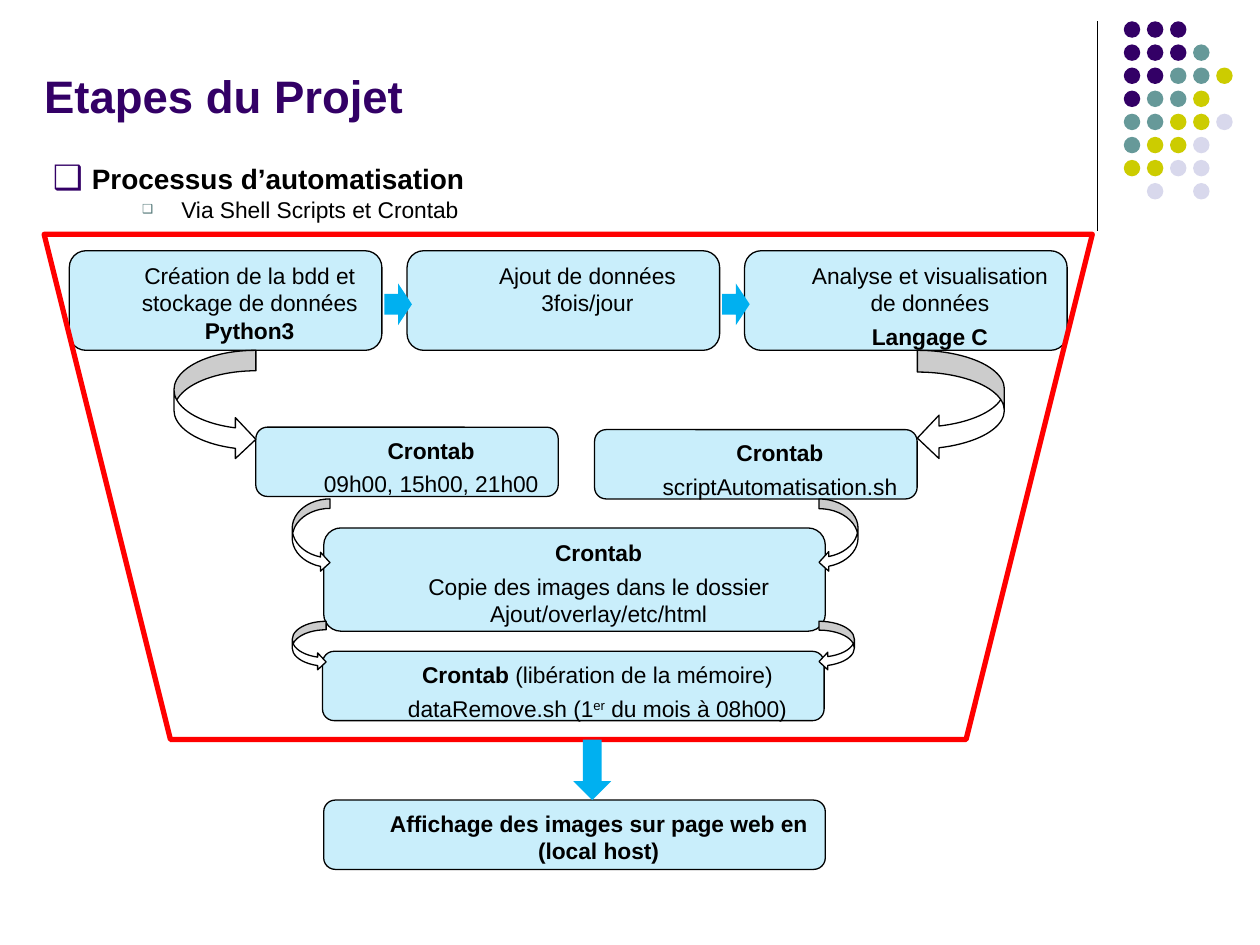
"""Build the project steps slide, with its automation flow."""
from lxml import etree
from pptx import Presentation
from pptx import util as u
from pptx.dml.color import RGBColor
from pptx.enum import shapes, text
from pptx.oxml.ns import qn

KIND = shapes.MSO_SHAPE
THEME = {
    "font": "Arial", "head": 26, "lead": 16, "body": 13,
    "ink": "000000", "title": "330066", "mark": "4D7373",
    "sky": "00B0F0", "frame": "FF0000", "white": "FFFFFF",
    "P": "330066", "T": "669999", "Y": "CCCC00", "L": "D8D8EC",
}

TITLE = "Etapes du Projet"
LIST = [
    {"text": "Processus d’automatisation", "size": "lead", "bold": True,
     "left": 25.9, "mark": "title", "pct": 120, "after": 0.1},
    {"text": "Via Shell Scripts et Crontab", "size": "body", "bold": False,
     "left": 77, "mark": "mark", "pct": 55, "after": 4.1},
]
CRON = [("Crontab", "bold")]
STEPS = [
    ((39.6, 143.3, 178.6, 56.9),
     [[("Création de la bdd et stockage de données ", ""), ("Python3", "bold")]]),
    ((232.6, 143.3, 178.6, 56.9), [[("Ajout de données 3fois/jour", "")]]),
    ((425.5, 143.3, 184.3, 56.9),
     [[("Analyse et visualisation de données", "")], [("Langage C", "bold")]]),
    ((146.2, 244.1, 172.8, 39.6), [CRON, [("09h00, 15h00, 21h00", "")]]),
    ((339.8, 245.5, 184.3, 39.6), [CRON, [("scriptAutomatisation.sh", "")]]),
    ((185, 301.7, 286.6, 59),
     [CRON, [("Copie des images dans le dossier Ajout/overlay/etc/html", "")]]),
    ((184.3, 372.2, 286.6, 39.6),
     [CRON + [(" (libération de la mémoire)", "")],
      [("dataRemove.sh (1", ""), ("er", "super"), (" du mois à 08h00)", "")]]),
    ((185, 457.2, 286.6, 39.6),
     [[("Affichage des images sur page web en (local host)", "bold")]]),
]
FRAME = (25.2, 133.9, 599, 288.7)
ARROWS = [
    ((219.6, 162, 15.8, 23.8), 0),
    ((412.6, 162, 15.8, 23.8), 0),
    ((321.1, 429.1, 34.6, 21.6), 90),
]
CURVES = [
    (200.2, 62.6, (99.4, 46.8), (524.2, 49.7)),
    (285.1, 41.8, (167, 21.6), (468, 22.3)),
    (355, 28.1, (167, 19.4), (468, 20.2)),
]
DOTS = ["PPP", "PPPT", "PPTTY", "PTTY", "TTYYL", "TYYL", "YYLL", " L L"]
GRID = {"left": 642.2, "top": 12.2, "step": 13.2, "size": 9.4}


def put(item, **vals):
    for key, val in vals.items():
        setattr(item, key, val)


def tint(name):
    return RGBColor.from_string(THEME[name])


def place(item, rect):
    put(item, **dict(zip(("left", "top", "width", "height"), map(u.Pt, rect))))


def draw(slide, kind, rect, fill=None, line=None, width=0.75):
    shape = slide.shapes.add_shape(kind, *map(u.Pt, rect))
    shape.shadow.inherit = False
    if fill:
        shape.fill.solid()
        shape.fill.fore_color.rgb = tint(fill)
    else:
        shape.fill.background()
    if line:
        shape.line.color.rgb = tint(line)
        shape.line.width = u.Pt(width)
    else:
        shape.line.fill.background()
    return shape


def write(para, words, size="body", color="ink", bold=False):
    run = para.add_run()
    run.text = words
    put(run.font, name=THEME["font"], size=u.Pt(THEME[size]), bold=bold)
    run.font.color.rgb = tint(color)
    return run


def indent(para, left, first=0):
    props = para._p.get_or_add_pPr()
    props.set("marL", str(u.Pt(left)))
    props.set("indent", str(u.Pt(first)))
    return props


def space(para, before, after):
    put(para, space_before=u.Pt(before), space_after=u.Pt(after), line_spacing=1.0)


def bullet(props, color, pct):
    hue = etree.SubElement(props, qn("a:buClr"))
    etree.SubElement(hue, qn("a:srgbClr"), val=THEME[color])
    etree.SubElement(props, qn("a:buSzPct"), val=str(pct * 1000))
    etree.SubElement(props, qn("a:buFont"), typeface=THEME["font"])
    etree.SubElement(props, qn("a:buChar"), char="❑")


def heads(slide):
    title, body = slide.placeholders
    place(title, (18, 25.9, 606.2, 47.5))
    place(body, (19.4, 88.6, 604.1, 56.9))
    for item, anchor in ((title, "BOTTOM"), (body, "TOP")):
        put(item.text_frame, word_wrap=True, auto_size=text.MSO_AUTO_SIZE.NONE,
            vertical_anchor=text.MSO_ANCHOR[anchor])
    para = title.text_frame.paragraphs[0]
    para.alignment = text.PP_ALIGN.LEFT
    space(para, 0, 0.1)
    write(para, TITLE, "head", "title", True)
    for n, row in enumerate(LIST):
        para = body.text_frame.add_paragraph() if n else body.text_frame.paragraphs[0]
        para.level = n
        bullet(indent(para, row["left"], -22.3), row["mark"], row["pct"])
        space(para, 0.1 if n else 0, row["after"])
        write(para, row["text"], row["size"], bold=row["bold"])


def step(slide, rect, paras):
    box = draw(slide, KIND.ROUNDED_RECTANGLE, rect, "sky", "ink")
    hue = box._element.spPr.find(qn("a:solidFill"))[0]
    etree.SubElement(hue, qn("a:alpha"), val="21000")
    frame = box.text_frame
    put(frame, word_wrap=True, vertical_anchor=text.MSO_ANCHOR.TOP)
    for n, runs in enumerate(paras):
        para = frame.add_paragraph() if n else frame.paragraphs[0]
        para.alignment = text.PP_ALIGN.CENTER
        indent(para, 27.4)
        space(para, 3.4 if n else 0, 0.1)
        for words, style in runs:
            run = write(para, words, bold=style == "bold")
            if style == "super":
                run.font._element.set("baseline", "30000")


def corner(slide):
    rule = slide.shapes.add_connector(
        shapes.MSO_CONNECTOR.STRAIGHT, *map(u.Pt, (627.1, 12.2, 627.1, 131.8)))
    rule.line.color.rgb = tint("ink")
    rule.line.width = u.Pt(0.75)
    etree.SubElement(rule._element.spPr, qn("a:effectLst"))
    for y, row in enumerate(DOTS):
        for x, name in enumerate(row):
            if name != " ":
                spot = (GRID["left"] + x * GRID["step"], GRID["top"] + y * GRID["step"])
                draw(slide, KIND.OVAL, (*spot, GRID["size"], GRID["size"]), name)


def main():
    deck = Presentation()
    put(deck, slide_width=u.Pt(720), slide_height=u.Pt(540))
    slide = deck.slides.add_slide(deck.slide_layouts[1])
    heads(slide)
    corner(slide)
    for rect, paras in STEPS:
        step(slide, rect, paras)
    draw(slide, KIND.TRAPEZOID, FRAME, line="frame", width=3).rotation = 180
    for rect, turn in ARROWS:
        draw(slide, KIND.RIGHT_ARROW, rect, "sky").rotation = turn
    for top, high, *sides in CURVES:
        for kind, (left, wide) in zip(("RIGHT", "LEFT"), sides):
            draw(slide, KIND[f"CURVED_{kind}_ARROW"], (left, top, wide, high),
                 "white", "ink")
    deck.save("out.pptx")


if __name__ == "__main__":
    main()
